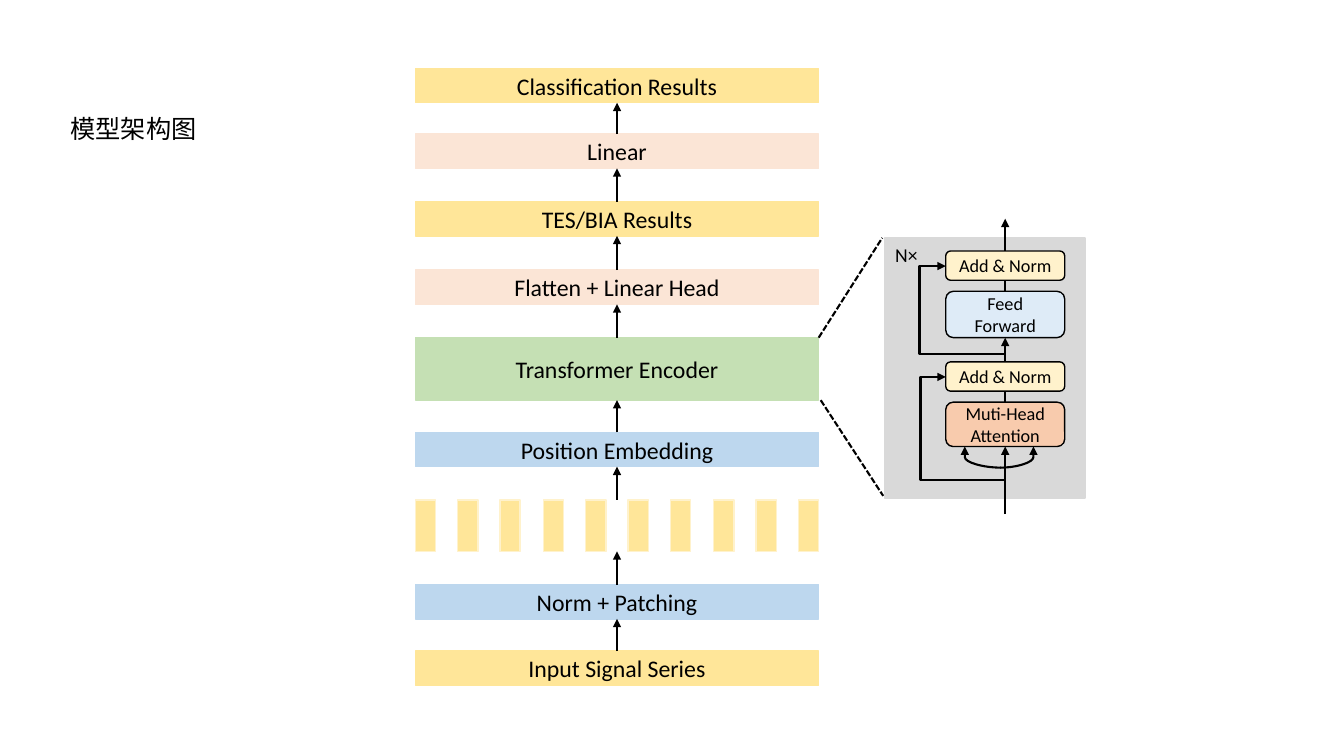
from lxml.etree import SubElement
from pptx import Presentation
from pptx.dml.color import RGBColor
from pptx.enum.dml import MSO_LINE
from pptx.enum.shapes import MSO_CONNECTOR, MSO_SHAPE
from pptx.enum.text import MSO_ANCHOR, MSO_AUTO_SIZE, PP_ALIGN
from pptx.oxml.ns import qn
from pptx.util import Emu, Pt

PX = 9144  # 100 px to the inch
FONT = "Calibri"
BLACK = "000000"
YELLOW, CREAM, PEACH = "FFE699", "FFF2CC", "FBE5D6"
BLUE, PALE_BLUE = "BDD7EE", "DEEBF7"
GREEN, ORANGE, GREY = "C5E0B4", "F8CBAD", "D9D9D9"
TOP, BOTTOM = 0, 2

STACK_LEFT, STACK_WIDTH, STACK_CENTER = 412, 400, 612
PATCH_COUNT, PATCH_WIDTH, PATCH_TOP, PATCH_HEIGHT = 10, 20, 496, 51
BLOCK_LEFT, BLOCK_WIDTH, BLOCK_CENTER = 938, 118, 997


def px(length):
    return Emu(length * PX)


def color(value):
    return RGBColor.from_string(value)


def write(shape, text, size, align=PP_ALIGN.LEFT, anchor=MSO_ANCHOR.TOP):
    frame = shape.text_frame
    frame.word_wrap = True
    frame.auto_size = MSO_AUTO_SIZE.NONE
    frame.vertical_anchor = anchor
    paragraph = frame.paragraphs[0]
    paragraph.alignment = align
    run = paragraph.add_run()
    run.text = text
    run.font.name = FONT
    run.font.size = Pt(size)
    run.font.color.rgb = color(BLACK)


def add_box(slide, left, top, width, height, fill, line=None, text="", size=17,
            kind=MSO_SHAPE.RECTANGLE):
    shape = slide.shapes.add_shape(kind, px(left), px(top), px(width), px(height))
    shape.shadow.inherit = False
    shape.fill.solid()
    shape.fill.fore_color.rgb = color(fill)
    shape.line.color.rgb = color(line or fill)
    shape.line.width = Pt(1)
    if text:
        write(shape, text, size, PP_ALIGN.CENTER, MSO_ANCHOR.MIDDLE)
    return shape


def add_line(slide, start, end, arrow=True, dashed=False,
             kind=MSO_CONNECTOR.STRAIGHT, bend=None):
    """Draw a connector; bend is where it turns, as a share of its width."""
    connector = slide.shapes.add_connector(kind, *map(px, start + end))
    connector.line.color.rgb = color(BLACK)
    connector.line.width = Pt(1.5)
    if dashed:
        connector.line.dash_style = MSO_LINE.SQUARE_DOT
    properties = connector._element.spPr
    if arrow:
        SubElement(properties.find(qn("a:ln")), qn("a:tailEnd"), type="triangle")
    SubElement(properties, qn("a:effectLst"))
    if bend is not None:
        guides = properties.find(qn("a:prstGeom")).find(qn("a:avLst"))
        SubElement(guides, qn("a:gd"), name="adj1", fmla=f"val {round(bend * 100000)}")
    return connector


def join_up(slide, lower, upper, arrow=True):
    """Link the top of one box to the bottom of the box above it."""
    connector = add_line(slide, (0, 0), (0, 0), arrow)
    connector.begin_connect(lower, TOP)
    connector.end_connect(upper, BOTTOM)


def add_skip(slide, start, end, turn):
    """Draw a residual path that runs left to x = turn before rising."""
    bend = (start[0] - turn) / (start[0] - end[0])
    add_line(slide, start, end, kind=MSO_CONNECTOR.ELBOW, bend=bend)


def add_patches(slide):
    pitch = (STACK_WIDTH - PATCH_WIDTH) / (PATCH_COUNT - 1)
    for index in range(PATCH_COUNT):
        add_box(slide, STACK_LEFT + round(index * pitch), PATCH_TOP,
                PATCH_WIDTH, PATCH_HEIGHT, YELLOW, CREAM)


def add_stack(slide):
    layers = [
        ("Input Signal Series", 646, 34, YELLOW),
        ("Norm + Patching", 580, 34, BLUE),
        ("Position Embedding", 429, 34, BLUE),
        ("Transformer Encoder", 335, 62, GREEN),
        ("Flatten + Linear Head", 268, 34, PEACH),
        ("TES/BIA Results", 200, 34, YELLOW),
        ("Linear", 133, 34, PEACH),
        ("Classification Results", 68, 34, YELLOW),
    ]
    boxes = [add_box(slide, STACK_LEFT, top, STACK_WIDTH, height, fill, text=text)
             for text, top, height, fill in layers]
    signal, patching, embedding = boxes[:3]
    add_patches(slide)
    join_up(slide, signal, patching)
    patch_bottom = (STACK_CENTER, PATCH_TOP + PATCH_HEIGHT)
    add_line(slide, (STACK_CENTER, 580), patch_bottom).begin_connect(patching, TOP)
    add_line(slide, (STACK_CENTER, PATCH_TOP), (STACK_CENTER, 463)).end_connect(
        embedding, BOTTOM)
    for lower, upper in zip(boxes[2:], boxes[3:]):
        join_up(slide, lower, upper)


def add_encoder_detail(slide):
    add_line(slide, (812, 335), (875, 236), arrow=False, dashed=True)
    add_line(slide, (814, 397), (876, 492), arrow=False, dashed=True)
    add_box(slide, 877, 236, 199, 258, GREY)
    blocks = [
        ("Muti-Head Attention", 399, 44, ORANGE),
        ("Add & Norm", 359, 29, CREAM),
        ("Feed Forward", 289, 46, PALE_BLUE),
        ("Add & Norm", 249, 29, CREAM),
    ]
    attention, first_norm, feed_forward, last_norm = [
        add_box(slide, BLOCK_LEFT, top, BLOCK_WIDTH, height, fill, BLACK, text, 13,
                MSO_SHAPE.ROUNDED_RECTANGLE)
        for text, top, height, fill in blocks]

    add_line(slide, (BLOCK_CENTER, 510), (BLOCK_CENTER, 443)).end_connect(
        attention, BOTTOM)
    for start, end in ((992, 1025), (993, 957)):
        add_line(slide, (start, 464), (end, 443), kind=MSO_CONNECTOR.CURVE, bend=1)
    join_up(slide, attention, first_norm, arrow=False)
    join_up(slide, first_norm, feed_forward)
    join_up(slide, feed_forward, last_norm, arrow=False)
    add_line(slide, (BLOCK_CENTER, 249), (BLOCK_CENTER, 217)).begin_connect(
        last_norm, TOP)
    add_skip(slide, (BLOCK_CENTER, 476), (BLOCK_LEFT, 374), 913)
    add_skip(slide, (BLOCK_CENTER, 351), (BLOCK_LEFT, 264), 912)

    label = slide.shapes.add_textbox(px(878), px(236), px(47), px(34))
    write(label, "N×", 14)


def add_title(slide):
    title = slide.shapes.title
    title.left, title.top, title.width, title.height = map(px, (60, 107, 444, 40))
    write(title, "模型架构图", 18)


def main():
    presentation = Presentation()
    presentation.slide_width, presentation.slide_height = px(1333), px(750)
    slide = presentation.slides.add_slide(presentation.slide_layouts[5])
    add_title(slide)
    add_stack(slide)
    add_encoder_detail(slide)
    presentation.save("out.pptx")


if __name__ == "__main__":
    main()
